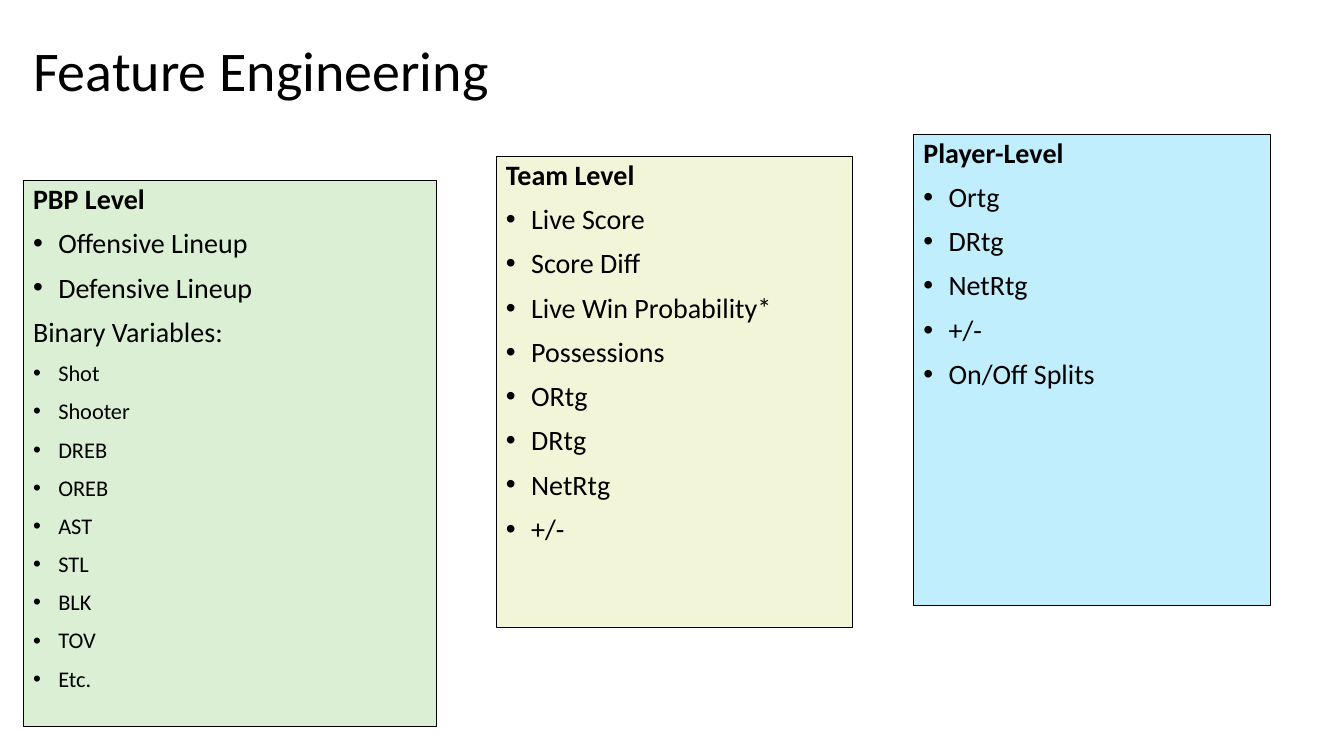
from dataclasses import dataclass

from lxml.etree import SubElement
from pptx import Presentation
from pptx.dml.color import RGBColor
from pptx.enum.shapes import MSO_SHAPE as Preset
from pptx.enum.text import MSO_ANCHOR as Anchor, PP_ALIGN as Align
from pptx.oxml.ns import qn
from pptx.shapes.base import BaseShape
from pptx.slide import Slide
from pptx.text.text import TextFrame
from pptx.util import Emu, Pt

EMU_PER_PX = 9144
BULLET_INDENT = 25
FONT = "Calibri"
BLACK = "000000"


@dataclass(frozen=True)
class Line:
    text: str
    size: int = 20
    bold: bool = False
    bullet: bool = True
    space_before: int = 10


@dataclass(frozen=True)
class Box:
    left: int
    top: int
    width: int
    height: int


@dataclass(frozen=True)
class FeatureGroup:
    heading: str
    box: Box
    fill: str
    features: tuple[Line, ...]


def px(length: int) -> Emu:
    return Emu(length * EMU_PER_PX)


def color(value: str) -> RGBColor:
    return RGBColor.from_string(value)


def lines(*texts: str, size: int = 20) -> tuple[Line, ...]:
    return tuple(Line(text, size) for text in texts)


def place(box: Box) -> tuple[Emu, Emu, Emu, Emu]:
    return px(box.left), px(box.top), px(box.width), px(box.height)


def write_lines(frame: TextFrame, content: tuple[Line, ...]) -> None:
    frame.word_wrap = True
    for index, line in enumerate(content):
        paragraph = frame.add_paragraph() if index else frame.paragraphs[0]
        paragraph.alignment = Align.LEFT
        paragraph.line_spacing = 0.9
        paragraph.space_before = Pt(line.space_before)
        if line.bullet:
            properties = paragraph._p.get_or_add_pPr()
            properties.set("marL", str(px(BULLET_INDENT)))
            properties.set("indent", str(-px(BULLET_INDENT)))
            SubElement(properties, qn("a:buFont"), typeface="Arial")
            SubElement(properties, qn("a:buChar"), char="•")
        run = paragraph.add_run()
        run.text = line.text
        run.font.name = FONT
        run.font.size = Pt(line.size)
        run.font.bold = line.bold
        run.font.color.rgb = color(BLACK)


def draw_title(slide: Slide, text: str, box: Box) -> BaseShape:
    title = slide.shapes.add_textbox(*place(box))
    title.text_frame.vertical_anchor = Anchor.BOTTOM
    write_lines(title.text_frame, (Line(text, 40, bullet=False, space_before=0),))
    return title


def draw_group(slide: Slide, group: FeatureGroup) -> BaseShape:
    panel = slide.shapes.add_shape(Preset.RECTANGLE, *place(group.box))
    panel.shadow.inherit = False
    panel.fill.solid()
    panel.fill.fore_color.rgb = color(group.fill)
    panel.line.color.rgb = color(BLACK)
    panel.line.width = Pt(0.75)
    panel.text_frame.vertical_anchor = Anchor.TOP
    heading = Line(group.heading, bold=True, bullet=False)
    write_lines(panel.text_frame, (heading, *group.features))
    return panel


GROUPS = (
    FeatureGroup(
        "PBP Level",
        Box(23, 179, 410, 542),
        "DBEFD4",
        (
            *lines("Offensive Lineup", "Defensive Lineup"),
            Line("Binary Variables:", bullet=False),
            *lines("Shot", "Shooter", "DREB", "OREB", "AST", "STL", "BLK", "TOV", "Etc.", size=16),
        ),
    ),
    FeatureGroup(
        "Player-Level",
        Box(906, 133, 354, 468),
        "C1EEFC",
        lines("Ortg", "DRtg", "NetRtg", "+/-", "On/Off Splits"),
    ),
    FeatureGroup(
        "Team Level",
        Box(492, 155, 354, 468),
        "F2F5D8",
        lines("Live Score", "Score Diff", "Live Win Probability*", "Possessions",
              "ORtg", "DRtg", "NetRtg", "+/-"),
    ),
)


def main() -> None:
    deck = Presentation()
    deck.slide_width = px(1333)
    deck.slide_height = px(750)
    slide = deck.slides.add_slide(deck.slide_layouts[6])
    draw_title(slide, "Feature Engineering", Box(23, 30, 1060, 78))
    for group in GROUPS:
        draw_group(slide, group)
    deck.save("out.pptx")


if __name__ == "__main__":
    main()
